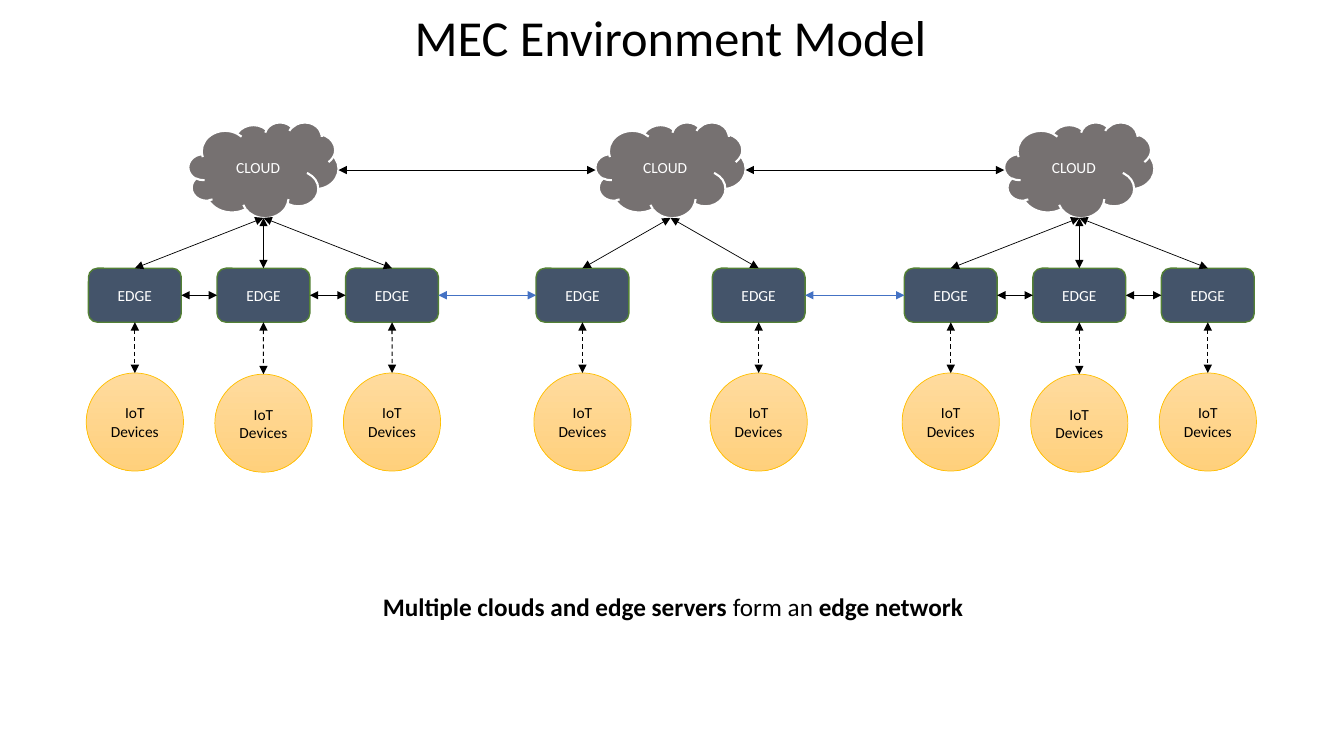
import pptx
import pptx.util
import pptx.dml.color
import pptx.enum.dml
import pptx.enum.shapes
import pptx.enum.text
import lxml.etree

Cm = pptx.util.Cm
Pt = pptx.util.Pt
RGBColor = pptx.dml.color.RGBColor
SHAPE = pptx.enum.shapes.MSO_SHAPE
ANCHOR = pptx.enum.text.MSO_ANCHOR
ALIGN = pptx.enum.text.PP_ALIGN

BLACK = RGBColor(0x00, 0x00, 0x00)
WHITE = RGBColor(0xFF, 0xFF, 0xFF)
CLOUD_GREY = RGBColor(0x76, 0x71, 0x71)
EDGE_NAVY = RGBColor(0x44, 0x54, 0x6A)
EDGE_GREEN = RGBColor(0x53, 0x80, 0x35)
DEVICE_LIGHT = RGBColor(0xFF, 0xDB, 0x9E)
DEVICE_DARK = RGBColor(0xFF, 0xD0, 0x7C)
DEVICE_GOLD = RGBColor(0xFF, 0xC0, 0x00)
LINK_BLUE = RGBColor(0x44, 0x72, 0xC4)

CLOUD_WIDTH, CLOUD_HEIGHT, CLOUD_TOP = 3.78, 2.41, 3.08
EDGE_WIDTH, EDGE_HEIGHT, EDGE_TOP = 2.34, 1.36, 6.76
DEVICE_WIDTH, DEVICE_HEIGHT, DEVICE_TOP = 2.45, 2.47, 9.4
TOP, LEFT, BOTTOM, RIGHT = range(4)

# Centre of each cloud, and the offsets of its edge servers
CLUSTERS = [
    (6.64, [-3.24, 0, 3.24]),
    (16.9, [-2.22, 2.22]),
    (27.2, [-3.24, 0, 3.24]),
]

deck = pptx.Presentation()
deck.slide_width = Cm(33.87)
deck.slide_height = Cm(19.05)
slide = deck.slides.add_slide(deck.slide_layouts[1])


def add_node(kind, center, top, width, height, label, font_color, line_color, line_width):
    """Add a labelled shape centred on a column; the caller sets its fill."""
    node = slide.shapes.add_shape(
        kind, Cm(center - width / 2), Cm(top), Cm(width), Cm(height))
    node.shadow.inherit = False
    node.line.color.rgb = line_color
    node.line.width = Pt(line_width)
    frame = node.text_frame
    frame.margin_left = frame.margin_right = Cm(0.1)
    frame.vertical_anchor = ANCHOR.MIDDLE
    frame.text = label
    para = frame.paragraphs[0]
    para.alignment = ALIGN.CENTER
    para.font.size = Pt(11)
    para.font.name = "Calibri"
    para.font.color.rgb = font_color
    return node


def add_arrow(x1, y1, x2, y2, color=BLACK, width=0.5):
    """Add a straight connector with a triangle at both ends."""
    arrow = slide.shapes.add_connector(
        pptx.enum.shapes.MSO_CONNECTOR.STRAIGHT, Cm(x1), Cm(y1), Cm(x2), Cm(y2))
    arrow.line.color.rgb = color
    arrow.line.width = Pt(width)
    outline = arrow.line._get_or_add_ln()
    for end in ("a:headEnd", "a:tailEnd"):
        lxml.etree.SubElement(outline, pptx.oxml.ns.qn(end), type="triangle")
    lxml.etree.SubElement(arrow._element.spPr, pptx.oxml.ns.qn("a:effectLst"))
    return arrow


# Title
title = slide.shapes.title
title.left, title.top, title.width, title.height = Cm(10.13), Cm(0.03), Cm(13.54), Cm(1.8)
title.text_frame.text = "MEC Environment Model"
title.text_frame.word_wrap = False
title.text_frame.vertical_anchor = ANCHOR.TOP
title_font = title.text_frame.paragraphs[0].runs[0].font
title_font.size = Pt(36)
title_font.name = "Calibri"
title_font.color.rgb = BLACK

# Caption
caption = slide.placeholders[1]
caption.left, caption.top, caption.width, caption.height = Cm(2.24), Cm(14.78), Cm(29.44), Cm(1.03)
caption.text_frame.auto_size = pptx.enum.text.MSO_AUTO_SIZE.NONE
para = caption.text_frame.paragraphs[0]
para.alignment = ALIGN.CENTER
para.space_before = Pt(0)
para_properties = para._p.get_or_add_pPr()
para_properties.set("marL", "0")
para_properties.set("indent", "0")
lxml.etree.SubElement(para_properties, pptx.oxml.ns.qn("a:buNone"))
for words, bold in [("Multiple clouds and edge servers ", True),
                    ("form an ", False), ("edge network", True)]:
    span = para.add_run()
    span.text = words
    span.font.bold = bold
    span.font.size = Pt(18)
    span.font.name = "Calibri"
    span.font.color.rgb = BLACK

# Clouds, each with its edge servers and their devices
cloud_bottom = CLOUD_TOP + CLOUD_HEIGHT
edge_bottom = EDGE_TOP + EDGE_HEIGHT
edges = []
for cluster, (center, offsets) in enumerate(CLUSTERS):
    cloud = add_node(SHAPE.CLOUD, center, CLOUD_TOP, CLOUD_WIDTH, CLOUD_HEIGHT,
                     "CLOUD", WHITE, WHITE, 1.5)
    cloud.fill.solid()
    cloud.fill.fore_color.rgb = CLOUD_GREY

    for offset in offsets:
        column = center + offset
        edge = add_node(SHAPE.FLOWCHART_ALTERNATE_PROCESS, column, EDGE_TOP,
                        EDGE_WIDTH, EDGE_HEIGHT, "EDGE", WHITE, EDGE_GREEN, 1)
        edge.fill.solid()
        edge.fill.fore_color.rgb = EDGE_NAVY
        edges.append((cluster, column, edge))

        device_top = DEVICE_TOP + (0.03 if offset == 0 else 0)
        device = add_node(SHAPE.OVAL, column, device_top, DEVICE_WIDTH, DEVICE_HEIGHT,
                          "IoT Devices", BLACK, DEVICE_GOLD, 0.5)
        device.fill.gradient()
        device.fill.gradient_angle = 270
        for stop, color in zip(device.fill.gradient_stops, (DEVICE_LIGHT, DEVICE_DARK)):
            stop.color.rgb = color

        uplink = add_arrow(center, cloud_bottom, column, EDGE_TOP)
        uplink.end_connect(edge, TOP)
        downlink = add_arrow(column, edge_bottom, column, device_top, width=0.75)
        downlink.line.dash_style = pptx.enum.dml.MSO_LINE.DASH
        downlink.begin_connect(edge, BOTTOM)
        downlink.end_connect(device, TOP)

# Links between neighbouring clouds
cloud_middle = CLOUD_TOP + CLOUD_HEIGHT / 2
for (center, _), (next_center, _) in zip(CLUSTERS, CLUSTERS[1:]):
    add_arrow(center + CLOUD_WIDTH / 2, cloud_middle,
              next_center - CLOUD_WIDTH / 2, cloud_middle)

# Links between neighbouring edge servers; the middle pair is not linked
edge_middle = EDGE_TOP + EDGE_HEIGHT / 2
for (cluster, column, edge), (next_cluster, next_column, next_edge) in zip(edges, edges[1:]):
    if cluster == next_cluster == 1:
        continue
    link = add_arrow(column + EDGE_WIDTH / 2, edge_middle,
                     next_column - EDGE_WIDTH / 2, edge_middle,
                     BLACK if cluster == next_cluster else LINK_BLUE)
    link.begin_connect(edge, RIGHT)
    link.end_connect(next_edge, LEFT)

deck.save("out.pptx")
